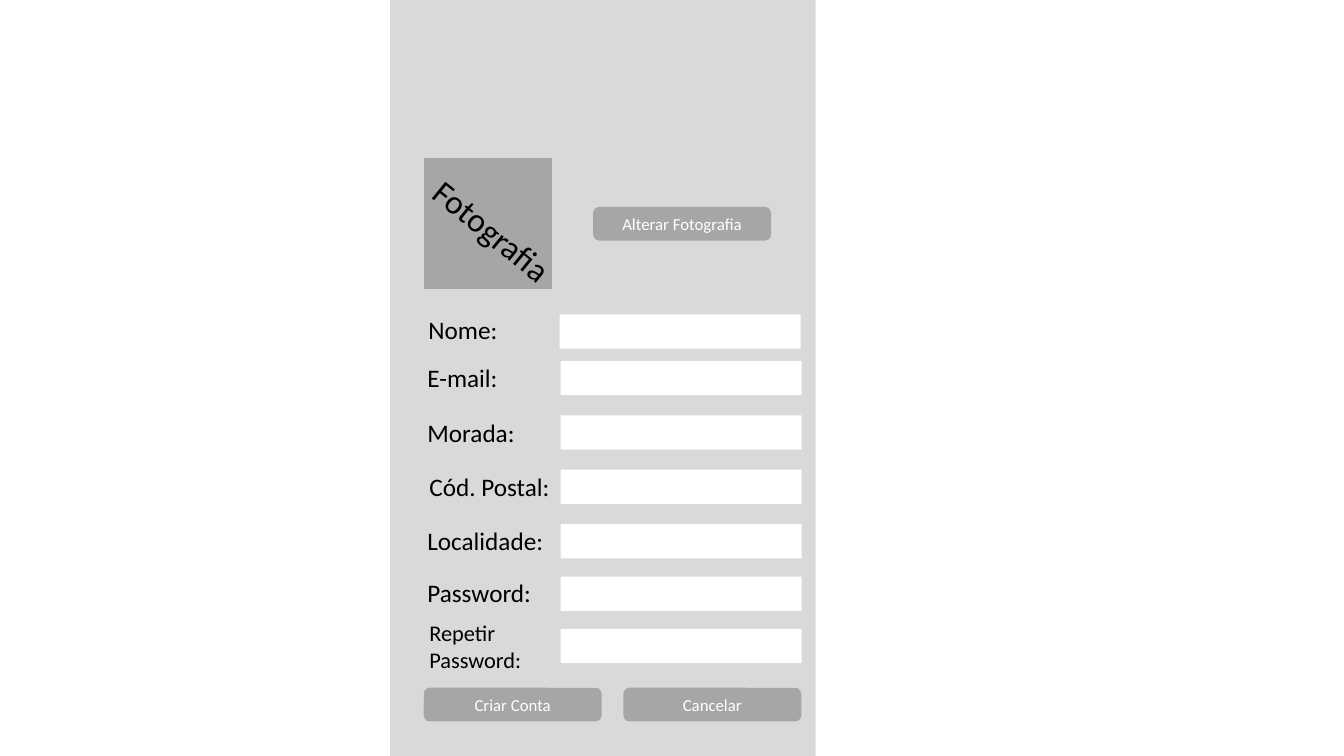
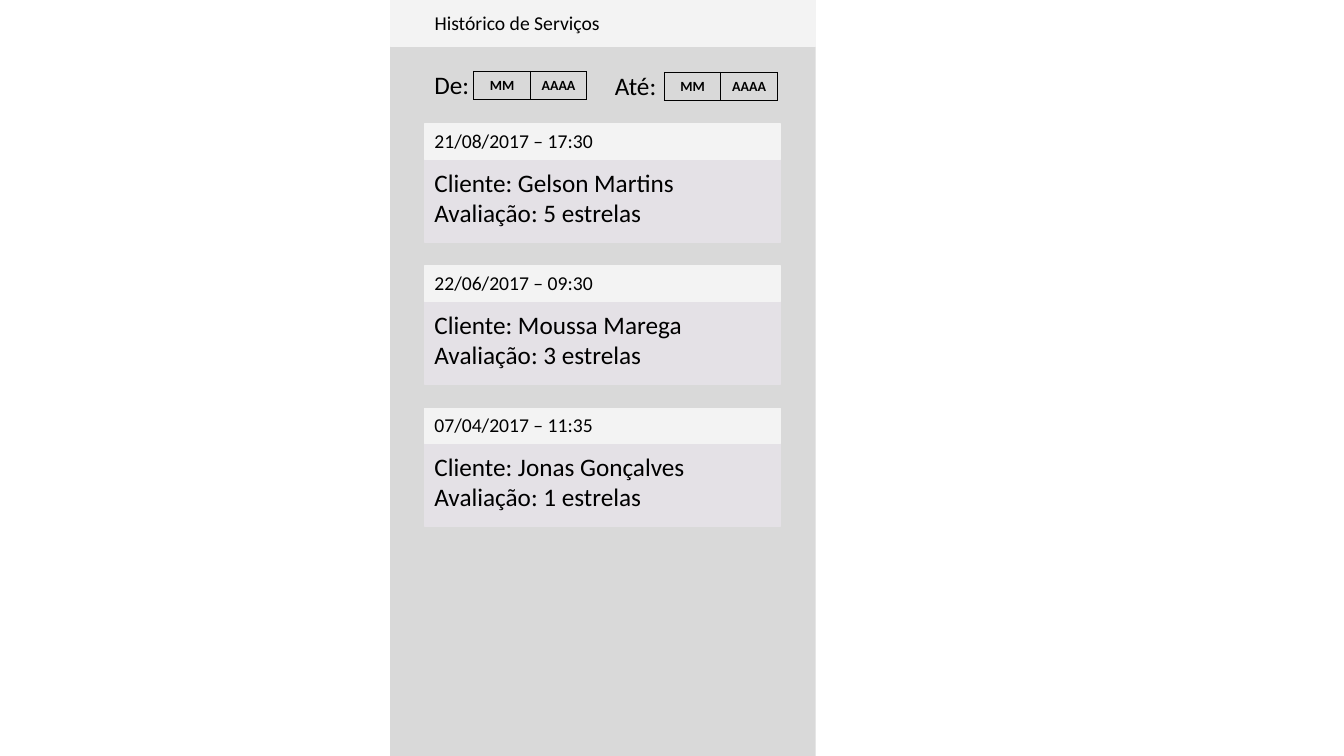
from lxml import etree
from pptx import Presentation
from pptx import util as u
from pptx.dml.color import RGBColor
from pptx.enum import shapes, text
from pptx.oxml.ns import qn

FONT = "Calibri"
BLACK, WHITE = "000000", "FFFFFF"
PANEL, BUTTON, BAND, CARD = "D9D9D9", "A6A6A6", "F3F3F3", "E4E1E6"
PANEL_LEFT, PANEL_WIDTH = 3.87, 4.22
CONTENT_LEFT = 4.21
TITLE_ONLY, BLANK = 5, 6
RECTANGLE = shapes.MSO_SHAPE.RECTANGLE
ROUNDED = shapes.MSO_SHAPE.ROUNDED_RECTANGLE

FORM_ROWS = [
    ("Nome:", 4.15, 3.07, 0.89, 5.55, 3.12),
    ("E-mail:", 4.14, 3.55, 0.91, 5.56, 3.58),
    ("Morada:", 4.14, 4.09, 1.08, 5.56, 4.12),
    ("Cód. Postal:", 4.16, 4.63, 1.41, 5.56, 4.66),
    ("Localidade:", 4.14, 5.16, 1.37, 5.56, 5.2),
    ("Password:", 4.14, 5.68, 1.24, 5.56, 5.72),
]
BUTTONS = [
    ("Criar Conta", 4.21, 6.83),
    ("Cancelar", 6.19, 6.83),
    ("Alterar Fotografia", 5.89, 2.06),
]
SERVICES = [
    ("21/08/2017 – 17:30", "Gelson Martins", 5, 2.61),
    ("22/06/2017 – 09:30", "Moussa Marega", 3, 2.68),
    ("07/04/2017 – 11:35", "Jonas Gonçalves", 1, 2.71),
]


def color(value):
    return RGBColor.from_string(value)


def apply(target, values):
    for name, value in values.items():
        setattr(target, name, value)


def inches(*lengths):
    return [u.Inches(length) for length in lengths]


def write(frame, content, size, fill=BLACK, align=text.PP_ALIGN.LEFT, bold=False):
    frame.text = content
    for paragraph in frame.paragraphs:
        paragraph.alignment = align
        for run in paragraph.runs:
            apply(run.font, {"name": FONT, "size": u.Pt(size), "bold": bold})
            run.font.color.rgb = color(fill)


def add_box(slide, box, fill, outlined=False, kind=RECTANGLE):
    shape = slide.shapes.add_shape(kind, *inches(*box))
    shape.shadow.inherit = False
    shape.fill.solid()
    shape.fill.fore_color.rgb = color(fill)
    if outlined:
        shape.line.color.rgb = color(fill)
        shape.line.width = u.Pt(1)
    else:
        shape.line.fill.background()
    return shape


def add_label(slide, box, content, size=18, wrap=False, rotation=0):
    label = slide.shapes.add_textbox(*inches(*box))
    label.rotation = rotation
    apply(label.text_frame, {"word_wrap": wrap,
                             "auto_size": text.MSO_AUTO_SIZE.SHAPE_TO_FIT_TEXT})
    write(label.text_frame, content, size)


def add_button(slide, caption, left, top):
    button = add_box(slide, (left, top, 1.75, 0.32), BUTTON, True, ROUNDED)
    button.text_frame.vertical_anchor = text.MSO_ANCHOR.MIDDLE
    write(button.text_frame, caption, 12, WHITE, text.PP_ALIGN.CENTER)


def add_field(slide, left, top):
    add_box(slide, (left, top, 2.39, 0.34), WHITE)


def add_panel(slide):
    add_box(slide, (PANEL_LEFT, 0, PANEL_WIDTH, 7.5), PANEL)


def set_title(slide, box, content):
    title = slide.shapes.title
    title.element.getparent().append(title.element)
    apply(title, dict(zip(("left", "top", "width", "height"), inches(*box))))
    apply(title.text_frame, {"word_wrap": False,
                             "vertical_anchor": text.MSO_ANCHOR.TOP,
                             "auto_size": text.MSO_AUTO_SIZE.SHAPE_TO_FIT_TEXT})
    write(title.text_frame, content, 14)


def set_borders(cell):
    properties = cell._tc.get_or_add_tcPr()
    for position, side in enumerate(("a:lnL", "a:lnR", "a:lnT", "a:lnB")):
        line = etree.Element(qn(side), w=str(u.Pt(1)))
        solid = etree.SubElement(line, qn("a:solidFill"))
        etree.SubElement(solid, qn("a:srgbClr"), val=BLACK)
        properties.insert(position, line)


def add_date_picker(slide, left, top):
    table = slide.shapes.add_table(1, 2, *inches(left, top, 1.12, 0.28)).table
    apply(table, {"first_row": False, "horz_banding": False})
    for cell, caption in zip(table.rows[0].cells, ("MM", "AAAA")):
        cell.vertical_anchor = text.MSO_ANCHOR.MIDDLE
        cell.fill.background()
        write(cell.text_frame, caption, 10, align=text.PP_ALIGN.CENTER, bold=True)
        set_borders(cell)


def add_service(slide, top, date, client, stars, width):
    add_box(slide, (CONTENT_LEFT, top + 0.35, 3.53, 0.82), CARD, True)
    add_box(slide, (CONTENT_LEFT, top, 3.53, 0.35), BAND, True)
    add_label(slide, (CONTENT_LEFT, top, 1.79, 0.34), date, 14)
    add_label(slide, (CONTENT_LEFT, top + 0.38, width, 0.71),
              f"Cliente: {client}\vAvaliação: {stars} estrelas")


def build_account_form(slide):
    add_panel(slide)
    add_box(slide, (CONTENT_LEFT, 1.57, 1.26, 1.29), BUTTON, True)
    add_label(slide, (4.08, 2.09, 1.73, 0.5), "Fotografia", 24, True, 39.2)
    for caption, left, top, width, field_left, field_top in FORM_ROWS:
        add_label(slide, (left, top, width, 0.4), caption)
        add_field(slide, field_left, field_top)
    add_label(slide, (4.16, 6.09, 1.33, 0.64), "Repetir\nPassword:", 16, True)
    add_field(slide, 5.56, 6.24)
    for caption, left, top in BUTTONS:
        add_button(slide, caption, left, top)


def build_service_history(slide):
    add_panel(slide)
    add_box(slide, (PANEL_LEFT, 0, PANEL_WIDTH, 0.46), BAND, True)
    set_title(slide, (CONTENT_LEFT, 0.06, 1.85, 0.34), "Histórico de Serviços")
    for index, service in enumerate(SERVICES):
        add_service(slide, 1.23 + 1.41 * index, *service)
    add_date_picker(slide, 4.7, 0.71)
    add_label(slide, (CONTENT_LEFT, 0.64, 0.55, 0.4), "De:")
    add_date_picker(slide, 6.59, 0.72)
    add_label(slide, (6, 0.65, 0.62, 0.4), "Até:")


def main():
    presentation = Presentation()
    apply(presentation, {"slide_width": u.Inches(13.33),
                         "slide_height": u.Inches(7.5)})
    layouts = presentation.slide_layouts
    build_account_form(presentation.slides.add_slide(layouts[BLANK]))
    build_service_history(presentation.slides.add_slide(layouts[TITLE_ONLY]))
    presentation.save("out.pptx")


main()
